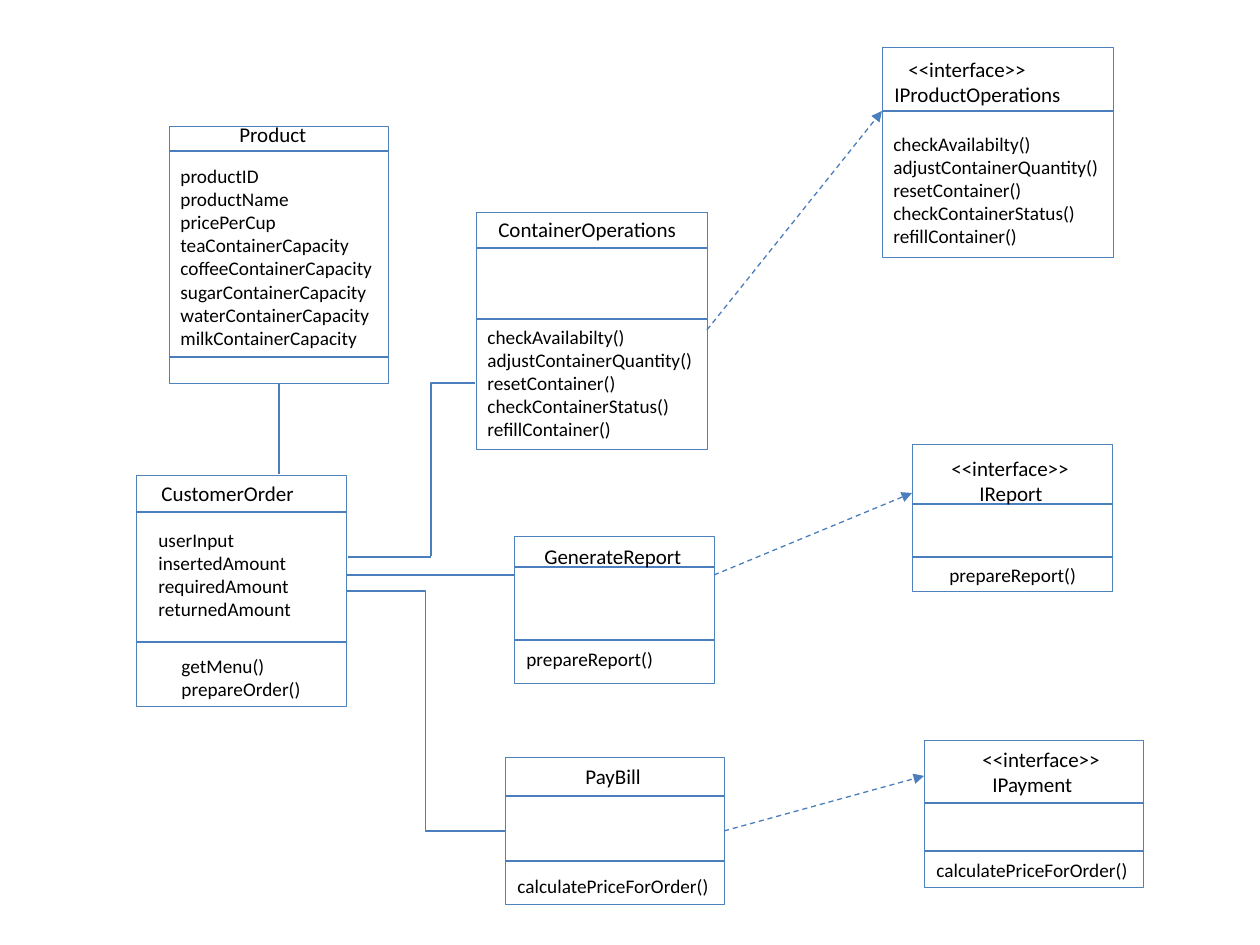
from pptx import Presentation
from pptx.dml.color import RGBColor
from pptx.enum.dml import MSO_LINE
from pptx.enum.shapes import MSO_CONNECTOR, MSO_SHAPE
from pptx.enum.text import MSO_AUTO_SIZE
from pptx.oxml.ns import qn
from pptx.util import Emu, Pt
from lxml import etree

PIXEL = 914400 // 126
STRAIGHT, ELBOW = MSO_CONNECTOR.STRAIGHT, MSO_CONNECTOR.ELBOW
RECTANGLE = MSO_SHAPE.RECTANGLE
DASH = MSO_LINE.DASH
FIT_SHAPE = MSO_AUTO_SIZE.SHAPE_TO_FIT_TEXT
OUTLINE, LINE, WHITE, BLACK = "4F81BD", "4B7EBC", "FFFFFF", "000000"
TITLE, MEMBERS = 12, 11
LINE_HEIGHT = {TITLE: 25, MEMBERS: 23}


def px(value):
    return Emu(round(value * PIXEL))


def color(value):
    return RGBColor.from_string(value)


def add_text(slide, text, left, top, width, size=MEMBERS, indents=(), wrap=False):
    """Text box as tall as its lines; indents are per line, in pixels."""
    lines = text.split("\n")
    height = 14 + LINE_HEIGHT[size] * len(lines)
    shape = slide.shapes.add_textbox(px(left), px(top), px(width), px(height))
    frame = shape.text_frame
    frame.word_wrap = wrap
    frame.auto_size = FIT_SHAPE
    frame.text = text
    for paragraph in frame.paragraphs:
        font = paragraph.runs[0].font
        font.name, font.size = "Calibri", Pt(size)
        font.color.rgb = color(BLACK)
    for paragraph, indent in zip(frame.paragraphs, indents):
        properties = paragraph._p.get_or_add_pPr()
        properties.set("marL", str(px(indent)))
        properties.set("indent", "0")


def add_line(slide, start, end, kind=STRAIGHT, realizes=False, preset=None):
    """Association line, or a dashed arrow when it realizes an interface."""
    connector = slide.shapes.add_connector(kind, *map(px, start + end))
    connector.line.color.rgb = color(LINE)
    connector.line.width = Pt(0.75)
    properties = connector._element.spPr
    if realizes:
        connector.line.dash_style = DASH
        outline = connector.line._get_or_add_ln()
        etree.SubElement(outline, qn("a:tailEnd"), type="triangle")
    if preset:
        properties.find(qn("a:prstGeom")).set("prst", preset)
    etree.SubElement(properties, qn("a:effectLst"))


def add_class(slide, box, dividers, title, sections):
    """Class box; dividers and texts are placed from its top left corner."""
    left, top, width, height = box
    shape = slide.shapes.add_shape(RECTANGLE, *map(px, box))
    shape.shadow.inherit = False
    shape.fill.solid()
    shape.fill.fore_color.rgb = color(WHITE)
    shape.line.color.rgb = color(OUTLINE)
    shape.line.width = Pt(0.25)
    for offset in dividers:
        add_line(slide, (left, top + offset), (left + width, top + offset))
    text, x, y, text_width, *indents = title
    add_text(slide, text, left + x, top + y, text_width, size=TITLE,
             indents=indents, wrap="\n" in text)
    for text, x, y, text_width in sections:
        add_text(slide, text, left + x, top + y, text_width)


CONTAINER_METHODS = ("checkAvailabilty()\nadjustContainerQuantity()\nresetContainer()\n"
                     "checkContainerStatus()\nrefillContainer()")
PRODUCT_FIELDS = ("productID\nproductName\npricePerCup\nteaContainerCapacity\n"
                  "coffeeContainerCapacity\nsugarContainerCapacity\n"
                  "waterContainerCapacity\nmilkContainerCapacity")
ORDER_FIELDS = "userInput\ninsertedAmount\nrequiredAmount\nreturnedAmount"

# Box, divider offsets, title (text, x, y, width, indents), sections (text, x, y, width)
CLASSES = [
    ((476, 212, 231, 237), (36, 107), ("ContainerOperations", 10, -2, 205),
     [(CONTAINER_METHODS, -1, 107, 232)]),
    ((514, 536, 200, 147), (31, 104), ("GenerateReport", 18, 1, 164),
     [("prepareReport()", 0, 105, 154)]),
    ((882, 47, 231, 210), (64,),
     ("<<interface>>\nIProductOperations", 0, 3, 246, 14, 0),
     [(CONTAINER_METHODS, -1, 79, 232)]),
    ((505, 757, 219, 147), (39, 104), ("PayBill", 68, 0, 82),
     [("calculatePriceForOrder()", 0, 111, 219)]),
    ((924, 740, 219, 147), (63, 111),
     ("<<interface>>\nIPayment", 18, 0, 181, 28, 38),
     [("calculatePriceForOrder()", 0, 112, 219)]),
    ((912, 444, 200, 147), (60, 113),
     ("<<interface>>\nIReport", 27, 5, 175, 0, 28),
     [("prepareReport()", 25, 113, 154)]),
    ((136, 475, 210, 231), (37, 167), ("CustomerOrder", 13, -1, 159),
     [(ORDER_FIELDS, 10, 47, 159), ("getMenu()\nprepareOrder()", 33, 173, 147)]),
    ((169, 126, 219, 257), (25, 231), ("Product", 58, -11, 93),
     [(PRODUCT_FIELDS, -1, 32, 219)]),
]

presentation = Presentation()
presentation.slide_width, presentation.slide_height = px(1260), px(945)
slide = presentation.slides.add_slide(presentation.slide_layouts[6])

# Classes and interfaces
for class_parts in CLASSES:
    add_class(slide, *class_parts)

# Realizations
for start, end in [((707, 330), (882, 111)), ((714, 575), (912, 493)),
                   ((724, 831), (924, 776))]:
    add_line(slide, start, end, realizes=True)

# Associations of the customer order
add_line(slide, (279, 383), (279, 474))
add_line(slide, (346, 575), (514, 575))
add_line(slide, (346, 591), (505, 831), kind=ELBOW)
add_line(slide, (475, 383), (431, 556), kind=ELBOW, preset="bentConnector2")
add_line(slide, (348, 557), (431, 557))

presentation.save("out.pptx")
